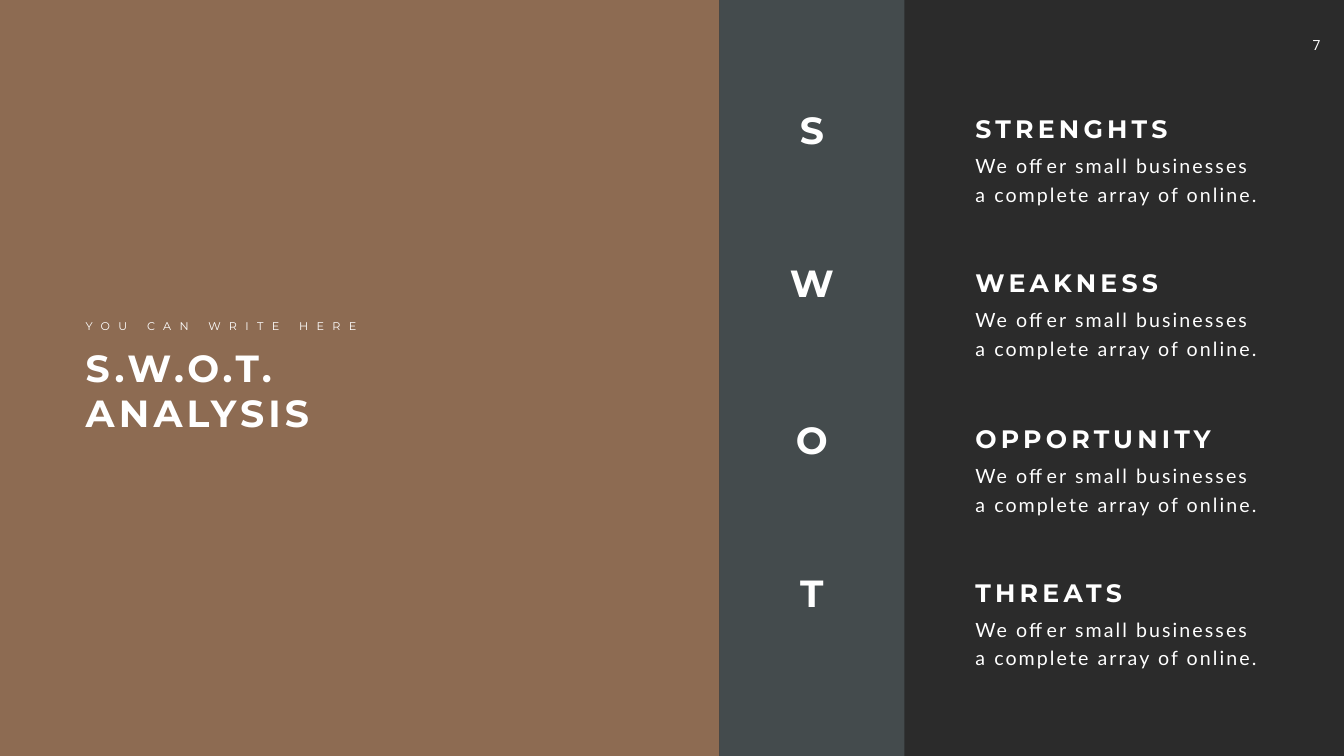
"""Build a S.W.O.T. analysis slide with a title panel, a letter band and four entries."""
from lxml.etree import SubElement
from pptx import Presentation
from pptx.dml.color import RGBColor
from pptx.enum.shapes import MSO_SHAPE as Shape
from pptx.enum.text import MSO_ANCHOR as Anchor, MSO_AUTO_SIZE as AutoSize, PP_ALIGN as Align
from pptx.oxml.ns import qn
from pptx.util import Pt

TITLE = "S.W.O.T. ANALYSIS"
KICKER = "YOU CAN WRITE HERE"
PAGE = "7"
SUMMARY = "We offer small businesses a complete array of online."
ENTRIES = [
    ("S", "STRENGHTS", SUMMARY, 148.3),
    ("W", "WEAKNESS", SUMMARY, 367.9),
    ("O", "OPPORTUNITY", SUMMARY, 591.1),
    ("T", "THREATS", SUMMARY, 810.7),
]

WHITE = RGBColor(0xFF, 0xFF, 0xFF)
CHARCOAL = RGBColor(0x2B, 0x2B, 0x2B)
BROWN = RGBColor(0xA6, 0x7C, 0x5C)
SLATE = RGBColor(0x44, 0x4B, 0x4D)

SLIDE_W, SLIDE_H = 1919.52, 1080
PANEL_W, BAND_W = 1027.4, 264.2
LETTER_W, LETTER_H = 136.8, 72.7
LETTER_X = PANEL_W + (BAND_W - LETTER_W) / 2
ENTRY_X = 1386
HEADING_DY, SUMMARY_DY = 10.6, 61.2
TITLE_X = 115.2


def add_panel(slide, left, width, color, opacity=None):
    panel = slide.shapes.add_shape(Shape.RECTANGLE, Pt(left), 0, Pt(width), Pt(SLIDE_H))
    panel.shadow.inherit = False
    panel.line.fill.background()
    panel.fill.solid()
    panel.fill.fore_color.rgb = color
    if opacity is not None:
        tint = panel.element.spPr.find(qn("a:solidFill"))[0]
        SubElement(tint, qn("a:alpha"), val=str(opacity * 1000))
    return panel


def write(slide, text, box, size, font="Montserrat", bold=False, tracking=0,
          align=Align.LEFT, leading=None, wrap=True, holder=None):
    holder = holder or slide.shapes.add_textbox(0, 0, 0, 0)
    holder.left, holder.top, holder.width, holder.height = map(Pt, box)
    frame = holder.text_frame
    frame.word_wrap = wrap
    frame.auto_size = AutoSize.SHAPE_TO_FIT_TEXT
    frame.vertical_anchor = Anchor.TOP
    paragraph = frame.paragraphs[0]
    paragraph.alignment = align
    if leading:
        paragraph.line_spacing = Pt(leading)
    run = paragraph.add_run()
    run.text = text
    run.font.name, run.font.size, run.font.bold = font, Pt(size), bold
    run.font.color.rgb = WHITE
    run._r.get_or_add_rPr().set("spc", str(tracking * 100))


def main():
    deck = Presentation()
    deck.slide_width, deck.slide_height = Pt(SLIDE_W), Pt(SLIDE_H)
    slide = deck.slides.add_slide(deck.slide_layouts[5])
    slide.background.fill.solid()
    slide.background.fill.fore_color.rgb = CHARCOAL

    title = slide.shapes.title
    title_panel = add_panel(slide, 0, PANEL_W, BROWN, opacity=80)
    title.element.addprevious(title_panel.element)
    add_panel(slide, PANEL_W, BAND_W, SLATE)

    write(slide, TITLE, (TITLE_X, 488.9, 510.5, 138.2), 54, bold=True, tracking=6, holder=title)
    write(slide, KICKER, (TITLE_X, 452.9, 416.2, 26.6), 16, tracking=12, wrap=False)
    write(slide, PAGE, (1849.7, 48.2, 61.2, 38.9), 20, font="Roboto", align=Align.CENTER)

    for letter, heading, summary, top in ENTRIES:
        write(slide, letter, (LETTER_X, top, LETTER_W, LETTER_H), 54,
              bold=True, tracking=6, align=Align.CENTER)
        write(slide, heading, (ENTRY_X, top + HEADING_DY, 486, 51.1), 36, bold=True, tracking=6)
        write(slide, summary, (ENTRY_X, top + SUMMARY_DY, 427, 85.7), 28,
              font="Lato", tracking=3, leading=40.8)

    deck.save("out.pptx")


if __name__ == "__main__":
    main()
